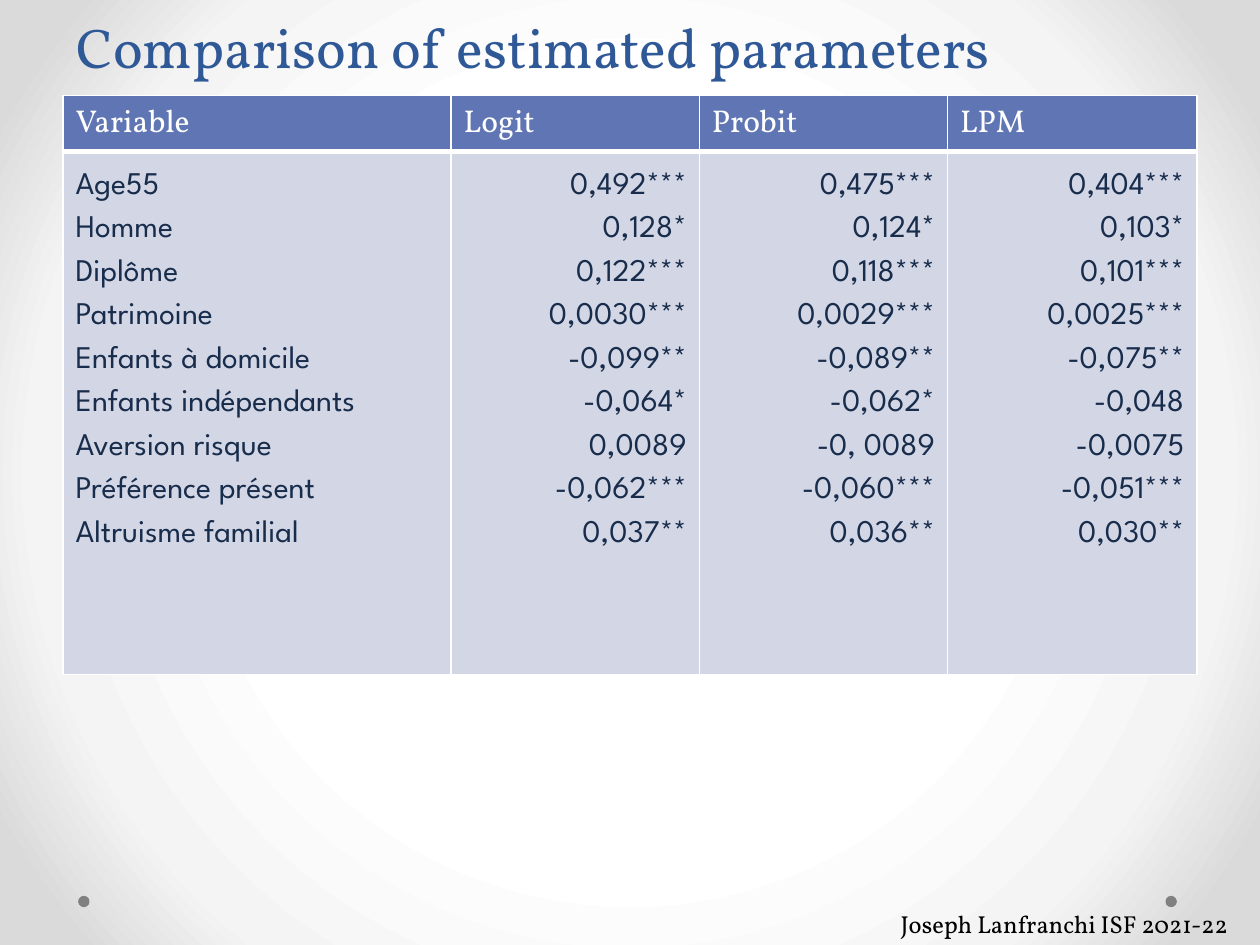
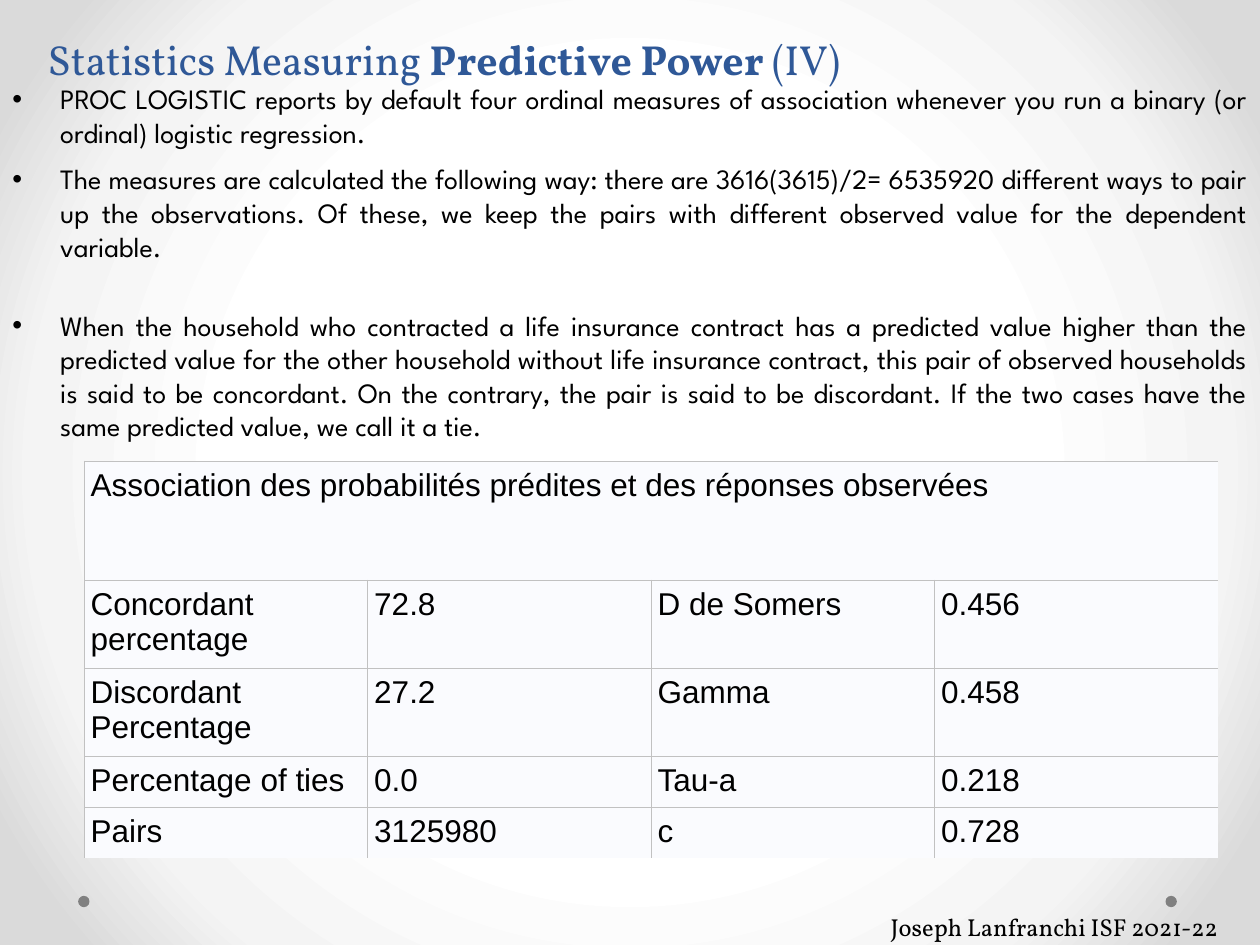
from pptx import Presentation
from pptx.dml.color import RGBColor
from pptx.enum.shapes import MSO_SHAPE
from pptx.enum.text import MSO_ANCHOR, PP_ALIGN
from pptx.oxml import parse_xml
from pptx.oxml.ns import nsdecls
from pptx.util import Inches, Pt

COLORS = {
    "title": "2F5897", "text": "000000", "dot": "808080",
    "header": "6076B4", "header_text": "FFFFFF", "header_line": "FFFFFF",
    "body": "D2D6E5", "body_text": "182C4B",
    "pale": "FAFBFE", "pale_line": "C1C1C1",
}
GRADIENT = [(50, "FFFFFF"), (76, "F4F4F4"), (92, "DADADA")]
SERIF, SANS, PLAIN = "Vollkorn", "League Spartan", "Arial"
NO_STYLE = "{2D5ABB26-0587-4C30-8999-92F81FD0307C}"
WIDTH, HEIGHT = Inches(10), Inches(7.5)

ESTIMATES = [
    ("Age55", "0,492***", "0,475***", "0,404***"),
    ("Homme", "0,128*", "0,124*", "0,103*"),
    ("Diplôme", "0,122***", "0,118***", "0,101***"),
    ("Patrimoine", "0,0030***", "0,0029***", "0,0025***"),
    ("Enfants à domicile", "-0,099**", "-0,089**", "-0,075**"),
    ("Enfants indépendants", "-0,064*", "-0,062*", "-0,048"),
    ("Aversion risque", "0,0089", "-0, 0089", "-0,0075"),
    ("Préférence présent", "-0,062***", "-0,060***", "-0,051***"),
    ("Altruisme familial", "0,037**", "0,036**", "0,030**"),
]
# Each point: space before, space after (points), text
POINTS = [
    (3.5, 4, "PROC LOGISTIC reports by default four ordinal measures of association "
     "whenever you run a binary (or ordinal) logistic regression."),
    (3.5, 0, "The measures are calculated the following way: there are 3616(3615)/2= "
     "6535920 different ways to pair up the observations. Of these, we keep the pairs "
     "with different observed value for the dependent variable."),
    (26, 0, "When the household who contracted a life insurance contract has a predicted "
     "value higher than the predicted value for the other household without life "
     "insurance contract, this pair of observed households is said to be concordant. "
     "On the contrary, the pair is said to be discordant. If the two cases have the "
     "same predicted value, we call it a tie."),
]
ASSOCIATION = [
    ("Association des probabilités prédites et des réponses observées", "", "", ""),
    ("Concordant percentage", "72.8", "D de Somers", "0.456"),
    ("Discordant Percentage", "27.2", "Gamma", "0.458"),
    ("Percentage of ties", "0.0", "Tau-a", "0.218"),
    ("Pairs", "3125980", "c", "0.728"),
]


def across(percent):
    return int(WIDTH * percent / 100)


def down(percent):
    return int(HEIGHT * percent / 100)


def place(left, top, width, height):
    """Turn shares of the slide, in percent, into lengths."""
    return across(left), down(top), across(width), down(height)


def rgb(name):
    return RGBColor.from_string(COLORS[name])


def style(p, face, size, color):
    p.font.name, p.font.size = face, Pt(size)
    p.font.color.rgb = rgb(color)


def add_text_box(s, *area):
    tf = s.shapes.add_textbox(*place(*area)).text_frame
    tf.word_wrap = True
    return tf


def set_background(s):
    stops = "".join(f'<a:gs pos="{pos * 1000}"><a:srgbClr val="{color}"/></a:gs>'
                    for pos, color in GRADIENT)
    s._element.cSld.insert(0, parse_xml(
        f'<p:bg {nsdecls("p", "a")}><p:bgPr><a:gradFill rotWithShape="1">'
        f'<a:gsLst>{stops}</a:gsLst><a:path path="circle">'
        '<a:fillToRect l="50000" t="50000" r="50000" b="50000"/></a:path>'
        '</a:gradFill><a:effectLst/></p:bgPr></p:bg>'))


def add_dot(s, left):
    dot = s.shapes.add_shape(MSO_SHAPE.OVAL, *place(left, 94.8, 0.9, 1.2))
    dot.shadow.inherit = False
    dot.fill.solid()
    dot.fill.fore_color.rgb = rgb("dot")
    dot.line.fill.background()


def add_title(s, area, size, runs):
    tf = add_text_box(s, *area)
    tf.vertical_anchor = MSO_ANCHOR.BOTTOM
    p = tf.paragraphs[0]
    p.line_spacing = Pt(58)
    style(p, SERIF, size, "title")
    for text, bold in runs:
        r = p.add_run()
        r.text, r.font.bold = text, bold


def add_footer(s, left, top):
    p = add_text_box(s, left, top, 30.7, 4.5).paragraphs[0]
    p.text = "Joseph Lanfranchi ISF 2021-22"
    style(p, SERIF, 14, "text")


def start_slide(prs, footer):
    s = prs.slides.add_slide(prs.slide_layouts[6])
    set_background(s)
    for left in (92.5, 6.2):
        add_dot(s, left)
    add_footer(s, *footer)
    return s


def add_points(s, area, points):
    tf = add_text_box(s, *area)
    for i, (before, after, text) in enumerate(points):
        p = tf.paragraphs[0] if i == 0 else tf.add_paragraph()
        p.text = text
        p.alignment = PP_ALIGN.JUSTIFY
        p.space_before, p.space_after = Pt(before), Pt(after)
        style(p, SANS, 16, "text")
        pPr = p._p.get_or_add_pPr()
        pPr.set("marL", str(Inches(0.38)))
        pPr.set("indent", str(-Inches(0.38)))
        for tag in (f'<a:buFont {nsdecls("a")} typeface="Arial"/>',
                    f'<a:buChar {nsdecls("a")} char="•"/>'):
            pPr.insert_element_before(parse_xml(tag), "a:tabLst", "a:defRPr", "a:extLst")


def add_plain_table(s, left, top, columns, rows):
    """Add an unstyled table; columns and rows are shares of the slide."""
    frame = s.shapes.add_table(len(rows), len(columns),
                               *place(left, top, sum(columns), sum(rows)))
    table = frame.table
    table._tbl.tblPr[0].text = NO_STYLE
    table.first_row = table.horz_banding = False
    for column, share in zip(table.columns, columns):
        column.width = across(share)
    for row, share in zip(table.rows, rows):
        row.height = down(share)
    return table


def set_borders(cell, color, **widths):
    """Draw the sides L, R, T, B that have a width in points; clear the others."""
    for i, side in enumerate("LRTB"):
        width = widths.get(side, 0)
        paint = (f'<a:solidFill><a:srgbClr val="{COLORS[color]}"/></a:solidFill>'
                 if width else "<a:noFill/>")
        cell._tc.get_or_add_tcPr().insert(i, parse_xml(
            f'<a:ln{side} {nsdecls("a")} w="{Pt(width)}">{paint}</a:ln{side}>'))


def fill_cell(cell, text, face, color, fill, align=PP_ALIGN.LEFT, spacing=None):
    cell.text = text
    cell.fill.solid()
    cell.fill.fore_color.rgb = rgb(fill)
    for p in cell.text_frame.paragraphs:
        p.alignment, p.line_spacing = align, spacing
        style(p, face, 18, color)


def add_estimates_table(s):
    table = add_plain_table(s, 5, 10.13, [30.8, 19.7, 19.7, 19.8], [5.9, 42.8])
    for c, name in enumerate(["Variable", "Logit", "Probit", "LPM"]):
        header, body = table.cell(0, c), table.cell(1, c)
        fill_cell(header, name, SERIF, "header_text", "header")
        set_borders(header, "header_line", L=1, R=1, T=1, B=3)
        values = "\n".join(row[c] for row in ESTIMATES)
        align = PP_ALIGN.RIGHT if c else PP_ALIGN.LEFT
        fill_cell(body, values, SANS, "body_text", "body", align, 1.5)
        set_borders(body, "header_line", L=1, R=1, T=1, B=1)


def add_association_table(s):
    table = add_plain_table(s, 6.7, 48.8, [22.5] * 4, [12.6, 8.8, 8.8, 5.2, 5.1])
    last_row, last_column = len(ASSOCIATION) - 1, 3
    for r, row in enumerate(ASSOCIATION):
        for c, text in enumerate(row):
            cell = table.cell(r, c)
            fill_cell(cell, text, PLAIN, "text", "pale")
            cell.margin_left = cell.margin_right = Inches(0.05)
            cell.margin_top = cell.margin_bottom = Inches(0.05)
            inner = r > 0 and c < last_column
            set_borders(cell, "pale_line", L=0.75 if r or c == 0 else 0, T=0.75,
                        R=0.75 if inner else 0, B=0.75 if r < last_row else 0)
    table.cell(0, 0).merge(table.cell(0, last_column))


def main():
    prs = Presentation()
    prs.slide_width, prs.slide_height = WIDTH, HEIGHT

    s = start_slide(prs, footer=(70.5, 95.5))
    add_title(s, (5.1, 1.7, 90, 7.4), 32, [("Comparison of estimated parameters", False)])
    add_estimates_table(s)

    s = start_slide(prs, footer=(69.7, 95.9))
    add_title(s, (2.8, 0.4, 96.1, 9.1), 24, [
        ("Statistics Measuring ", False), ("Predictive Power ", True), ("(IV)", False)])
    add_points(s, (0, 8, 100, 40), POINTS)
    add_association_table(s)

    prs.save("out.pptx")


if __name__ == "__main__":
    main()
